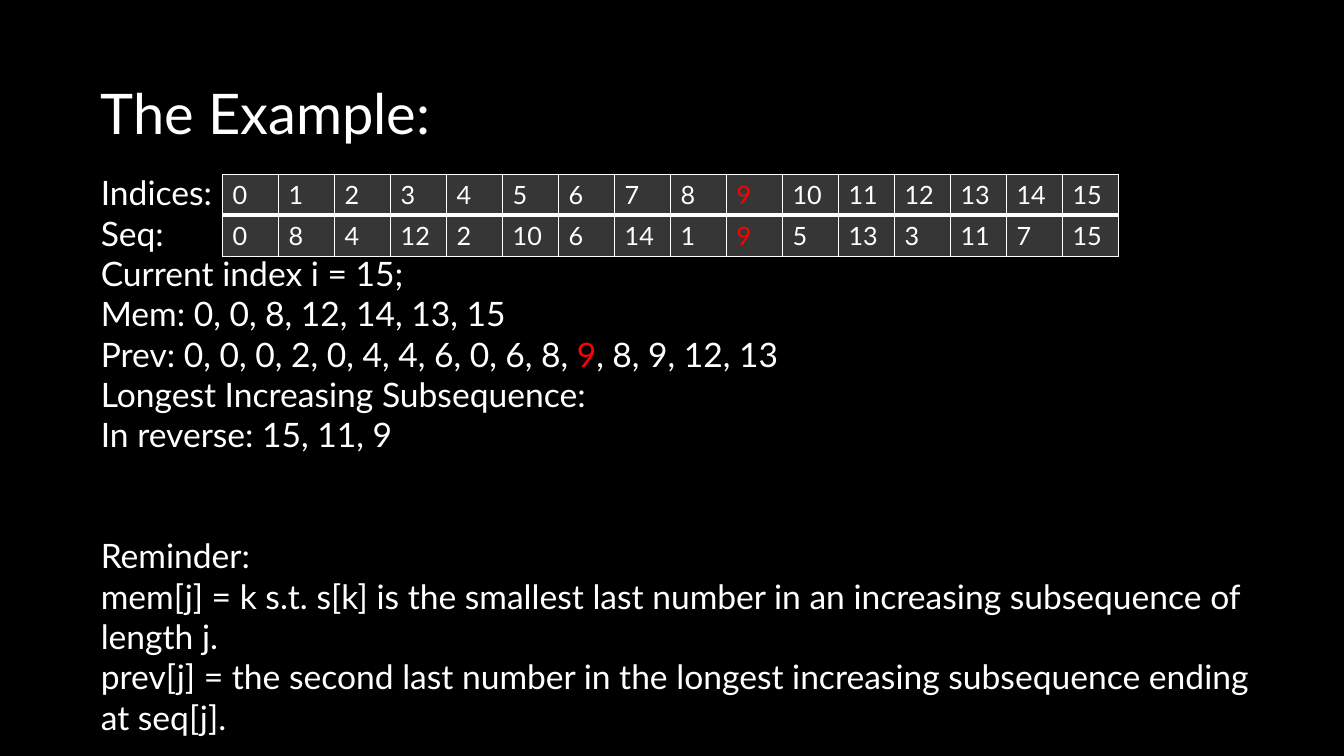
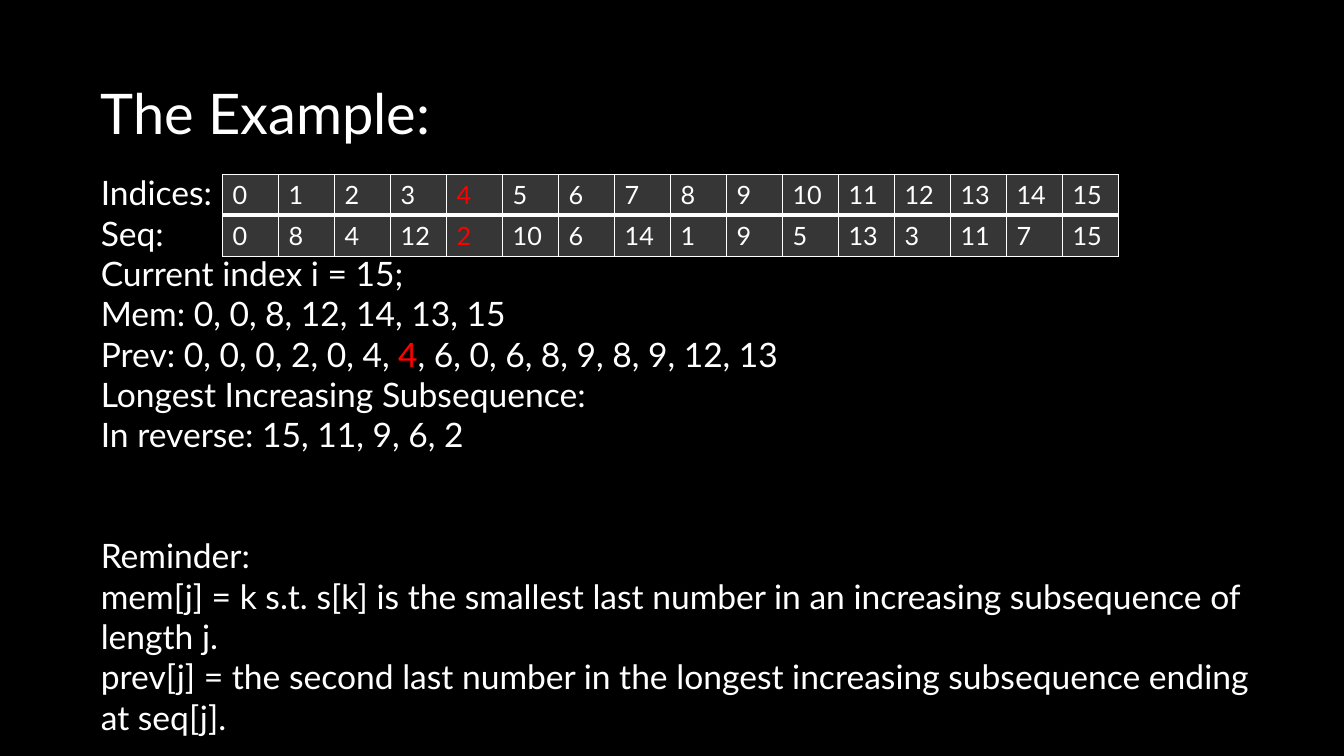
"""Build two slides that trace back a longest increasing subsequence."""
from dataclasses import dataclass

from lxml import etree
from pptx import Presentation
from pptx import util as u
from pptx.dml.color import RGBColor
from pptx.enum import text
from pptx.oxml.ns import qn

FONT = "Lato"
BLACK, WHITE, RED, GREY = "000000", "FFFFFF", "FF0000", "363636"
SEQUENCE = [0, 8, 4, 12, 2, 10, 6, 14, 1, 9, 5, 13, 3, 11, 7, 15]
PREVIOUS = [0, 0, 0, 2, 0, 4, 4, 6, 0, 6, 8, 9, 8, 9, 12, 13]
REMINDER = [
    "Reminder:",
    "mem[j] = k s.t. s[k] is the smallest last number in an increasing subsequence of length j.",
    "prev[j] = the second last number in the longest increasing subsequence ending at seq[j].",
]
COLUMN_WIDTH, ROW_HEIGHT = 40, 29.2
REMINDER_GAP = 57.6


@dataclass(frozen=True)
class Area:
    left: float
    top: float
    width: float
    height: float

    def lengths(self) -> list:
        return [u.Pt(value) for value in (self.left, self.top, self.width, self.height)]


@dataclass(frozen=True)
class Step:
    index: int
    reverse: str


TITLE_AREA = Area(64.8, 52.6, 658.8, 55.4)
BODY_AREA = Area(64.8, 119.5, 855.4, 414.7)
TABLE_AREA = Area(159, 124.6, COLUMN_WIDTH * len(SEQUENCE), ROW_HEIGHT * 2)
STEPS = [Step(11, "15, 11, 9"), Step(6, "15, 11, 9, 6, 2")]


def colour(value: str) -> RGBColor:
    return RGBColor.from_string(value)


def write(para, words: str, *, size: float, shade: str = WHITE) -> None:
    span = para.add_run()
    span.text = words
    span.font.name = FONT
    span.font.size = u.Pt(size)
    span.font.color.rgb = colour(shade)


def place(box, area: Area) -> None:
    box.left, box.top, box.width, box.height = area.lengths()
    frame = box.text_frame
    frame.word_wrap = True
    frame.auto_size = text.MSO_AUTO_SIZE.NONE
    frame.vertical_anchor = text.MSO_ANCHOR.TOP


def prepare(para, *, before: float = 0) -> None:
    para.alignment = text.PP_ALIGN.LEFT
    para.space_before = u.Pt(before)
    properties = para._p.get_or_add_pPr()
    properties.set("marL", "0")
    properties.set("indent", "0")
    etree.SubElement(properties, qn("a:buNone"))


def body_lines(step: Step) -> list[list[tuple[str, str]]]:
    head = "".join(f"{value}, " for value in PREVIOUS[:step.index])
    tail = "".join(f", {value}" for value in PREVIOUS[step.index + 1:])
    plain = ["Indices:", "Seq:", "Current index i = 15;", "Mem: 0, 0, 8, 12, 14, 13, 15"]
    result = ["Longest Increasing Subsequence:", f"In reverse: {step.reverse}", *REMINDER]
    previous = [(f"Prev: {head}", WHITE), (str(PREVIOUS[step.index]), RED), (tail, WHITE)]
    return [[(line, WHITE)] for line in plain] + [previous] + [[(line, WHITE)] for line in result]


def fill_body(box, step: Step) -> None:
    place(box, BODY_AREA)
    frame = box.text_frame
    for number, line in enumerate(body_lines(step)):
        para = frame.add_paragraph() if number else frame.paragraphs[0]
        prepare(para, before=REMINDER_GAP if line[0][0] == REMINDER[0] else 0)
        for words, shade in line:
            write(para, words, size=24, shade=shade)


def draw_borders(cell, bottom: float) -> None:
    properties = cell._tc.get_or_add_tcPr()
    for side, width in (("L", 1), ("R", 1), ("T", 1), ("B", bottom)):
        line = etree.SubElement(properties, qn(f"a:ln{side}"), w=str(u.Pt(width)))
        solid = etree.SubElement(line, qn("a:solidFill"))
        etree.SubElement(solid, qn("a:srgbClr"), val=WHITE)


def add_sequence_table(page, marked: int) -> None:
    table = page.shapes.add_table(2, len(SEQUENCE), *TABLE_AREA.lengths()).table
    table.first_row = table.horz_banding = False
    for column in table.columns:
        column.width = u.Pt(COLUMN_WIDTH)
    rows = [(range(len(SEQUENCE)), 3), (SEQUENCE, 1)]
    for row, (values, bottom) in enumerate(rows):
        table.rows[row].height = u.Pt(ROW_HEIGHT)
        for column, value in enumerate(values):
            cell = table.cell(row, column)
            draw_borders(cell, bottom)
            cell.fill.solid()
            cell.fill.fore_color.rgb = colour(GREY)
            shade = RED if column == marked else WHITE
            write(cell.text_frame.paragraphs[0], str(value), size=18, shade=shade)


def add_step(deck, step: Step) -> None:
    page = deck.slides.add_slide(deck.slide_layouts.get_by_name("Title and Content"))
    title = page.shapes.title
    place(title, TITLE_AREA)
    heading = title.text_frame.paragraphs[0]
    prepare(heading)
    write(heading, "The Example:", size=40)
    fill_body(page.placeholders[1], step)
    add_sequence_table(page, PREVIOUS[step.index])


def main() -> None:
    deck = Presentation()
    deck.slide_width, deck.slide_height = u.Pt(960), u.Pt(540)
    background = deck.slide_master.background.fill
    background.solid()
    background.fore_color.rgb = colour(BLACK)
    for step in STEPS:
        add_step(deck, step)
    deck.save("out.pptx")


main()
